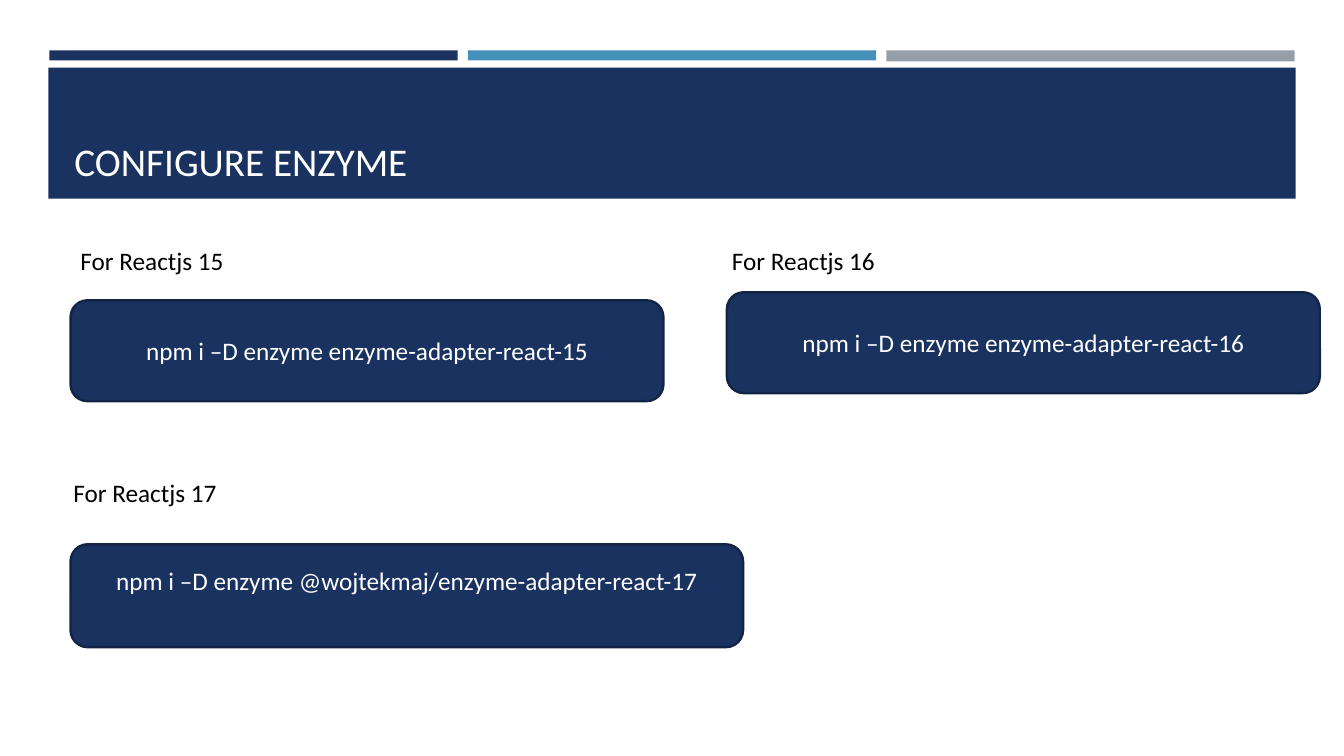
from pptx import Presentation
from pptx.dml.color import RGBColor
from pptx.enum.shapes import MSO_SHAPE
from pptx.enum.text import MSO_ANCHOR, PP_ALIGN
from pptx.util import Inches, Pt

RECT, ROUNDED = MSO_SHAPE.RECTANGLE, MSO_SHAPE.ROUNDED_RECTANGLE
TOP, MIDDLE, BOTTOM = MSO_ANCHOR.TOP, MSO_ANCHOR.MIDDLE, MSO_ANCHOR.BOTTOM
LEFT, CENTER = PP_ALIGN.LEFT, PP_ALIGN.CENTER

NAVY = RGBColor(0x1A, 0x32, 0x60)
NAVY_EDGE = RGBColor(0x13, 0x25, 0x47)
BLUE = RGBColor(0x45, 0x90, 0xB8)
GRAY = RGBColor(0x96, 0x9F, 0xA7)
WHITE = RGBColor(0xFF, 0xFF, 0xFF)
BLACK = RGBColor(0x00, 0x00, 0x00)
FONT = "Calibri"

# Content: lengths in inches
TITLE = "CONFIGURE ENZYME"
STRIPES = [(NAVY, 0.1), (BLUE, 0.1), (GRAY, 0.11)]  # colour, height
# label, label position, command, command box, bottom inset
COMMANDS = [
    ("For Reactjs 15", (0.7, 2.38),
     "npm i –D enzyme enzyme-adapter-react-15", (0.7, 2.98, 5.88, 1), 0.05),
    ("For Reactjs 16", (7.16, 2.38),
     "npm i –D enzyme enzyme-adapter-react-16", (7.21, 2.9, 5.88, 1), 0.05),
    ("For Reactjs 17", (0.63, 4.69),
     "npm i –D enzyme @wojtekmaj/enzyme-adapter-react-17",
     (0.7, 5.4, 6.67, 1.02), 0.35),
]
LABEL_SIZE = (3, 0.4)
STRIPE_LEFT, STRIPE_TOP, STRIPE_WIDTH, STRIPE_STEP = 0.49, 0.5, 4.05, 4.15

deck = Presentation()
deck.slide_width, deck.slide_height = Inches(13.33), Inches(7.5)
page = deck.slides.add_slide(deck.slide_layouts[6])


def add_block(kind, area, fill, edge=None):
    block = page.shapes.add_shape(kind, *map(Inches, area))
    block.shadow.inherit = False
    block.fill.solid()
    block.fill.fore_color.rgb = fill
    if edge is None:
        block.line.fill.background()
    else:
        block.line.color.rgb = edge
        block.line.width = Pt(1.75)
    return block


def write(box, text, size, color, anchor=TOP, align=LEFT):
    frame = box.text_frame
    frame.word_wrap = True
    frame.vertical_anchor = anchor
    para = frame.paragraphs[0]
    para.text = text
    para.alignment = align
    para.font.name, para.font.size = FONT, Pt(size)
    para.font.color.rgb = color


def add_text(area, *style):
    write(page.shapes.add_textbox(*map(Inches, area)), *style)


# Stripes and title band
for index, (color, height) in enumerate(STRIPES):
    left = STRIPE_LEFT + index * STRIPE_STEP
    add_block(RECT, (left, STRIPE_TOP, STRIPE_WIDTH, height), color)
add_block(RECT, (0.48, 0.67, 12.37, 1.3), NAVY)
add_text((0.64, 0.77, 12.06, 1.11), TITLE, 28, WHITE, BOTTOM)

# Labels and install commands
for label, position, command, area, bottom_inset in COMMANDS:
    add_text(position + LABEL_SIZE, label, 18, BLACK)
    box = add_block(ROUNDED, area, NAVY, NAVY_EDGE)
    write(box, command, 18, WHITE, MIDDLE, CENTER)
    box.text_frame.margin_bottom = Inches(bottom_inset)

deck.save("out.pptx")
